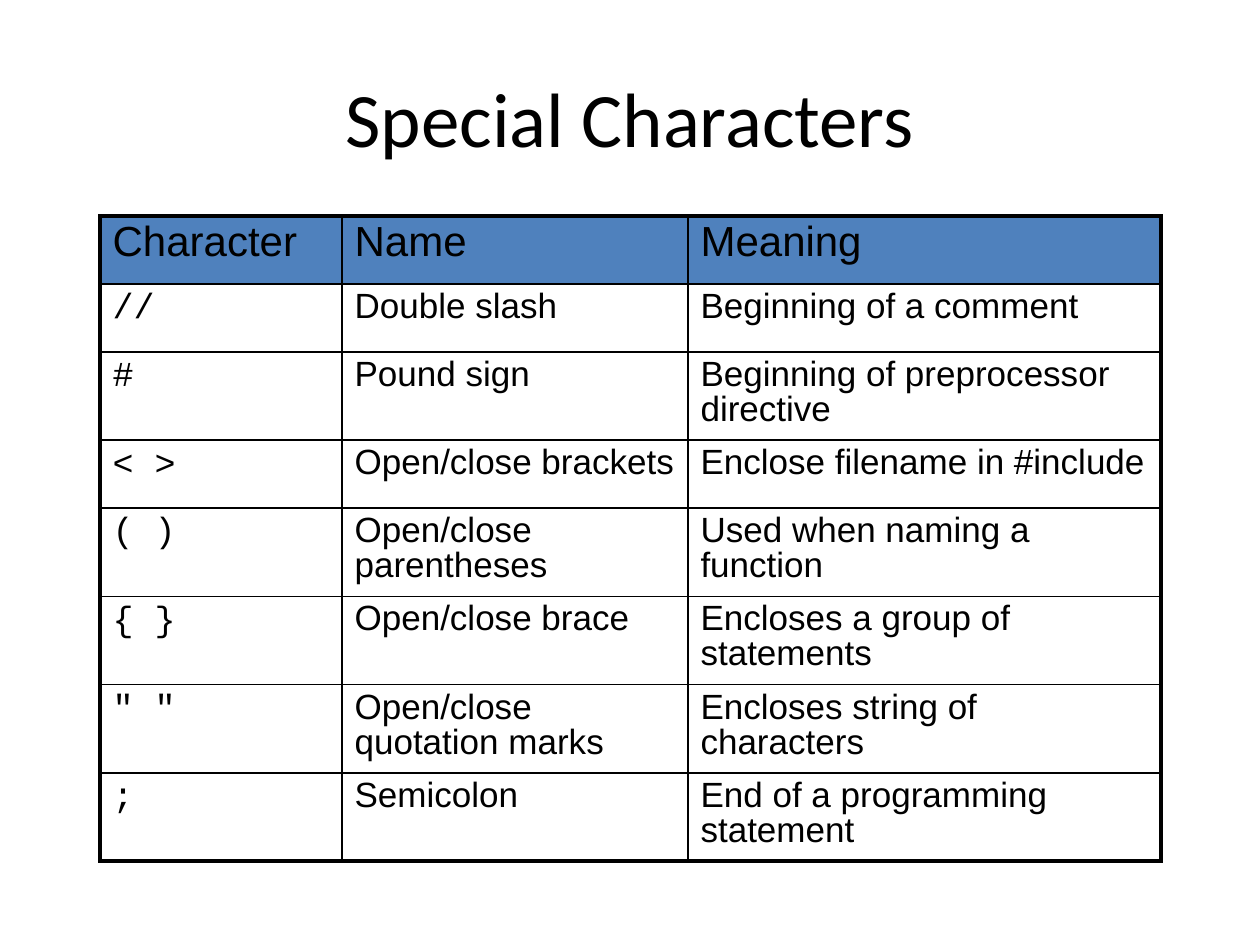
from pptx import Presentation
from pptx.dml.color import RGBColor
from pptx.enum.text import MSO_ANCHOR, PP_ALIGN
from pptx.oxml.ns import qn
from pptx.util import Pt
from lxml.etree import SubElement

PIXEL = 914400 // 126
COLORS = {"ink": "000000", "header": "4F81BD"}
COLUMN_WIDTHS = [242, 346, 473]
SHORT_ROW, TALL_ROW = 68, 88
TALL_ROWS = {2, 4, 5, 6, 7}
THIN, THICK = 1, 2.25
ROWS = [
    ("Character", "Name", "Meaning"),
    ("//", "Double slash", "Beginning of a comment"),
    ("#", "Pound sign", "Beginning of preprocessor directive"),
    ("< >", "Open/close brackets", "Enclose filename in #include"),
    ("( )", "Open/close parentheses", "Used when naming a function"),
    ("{ }", "Open/close brace", "Encloses a group of statements"),
    ('" "', "Open/close quotation marks", "Encloses string of characters"),
    (";", "Semicolon", "End of a programming statement"),
]


def px(length):
    return length * PIXEL


def color(name):
    return RGBColor.from_string(COLORS[name])


def format_text(para, font_name, size):
    for span in para.runs:
        span.font.name = font_name
        span.font.size = Pt(size)
        span.font.color.rgb = color("ink")


def add_title(page, text):
    box = page.shapes.add_textbox(px(63), px(38), px(1134), px(157))
    frame = box.text_frame
    frame.word_wrap = True
    frame.vertical_anchor = MSO_ANCHOR.MIDDLE
    frame.text = text
    para = frame.paragraphs[0]
    para.alignment = PP_ALIGN.CENTER
    format_text(para, "Calibri", 44)


def set_borders(cell, widths):
    properties = cell._tc.get_or_add_tcPr()
    for position, (side, width) in enumerate(widths.items()):
        line = properties.makeelement(qn(f"a:ln{side}"), {"w": str(int(Pt(width)))})
        fill = SubElement(line, qn("a:solidFill"))
        SubElement(fill, qn("a:srgbClr"), val=COLORS["ink"])
        properties.insert(position, line)


def fill_cell(cell, text, row, column):
    is_header = row == 0
    cell.text = text
    para = cell.text_frame.paragraphs[0]
    para.line_spacing = 0.9
    is_code = column == 0 and not is_header
    format_text(para, "Courier New" if is_code else "Arial", 24 if is_header else 20)
    if is_header:
        cell.fill.solid()
        cell.fill.fore_color.rgb = color("header")
    else:
        cell.fill.background()
    set_borders(cell, {
        "L": THICK if column == 0 else THIN,
        "R": THICK if column == len(COLUMN_WIDTHS) - 1 else THIN,
        "T": THICK if is_header else THIN,
        "B": THICK if row == len(ROWS) - 1 else THIN,
    })


def add_character_table(page):
    heights = [TALL_ROW if row in TALL_ROWS else SHORT_ROW for row in range(len(ROWS))]
    table = page.shapes.add_table(
        len(ROWS), len(COLUMN_WIDTHS), px(100), px(216),
        px(sum(COLUMN_WIDTHS)), px(sum(heights)),
    ).table
    table.horz_banding = False
    table.first_row = False
    for column, width in zip(table.columns, COLUMN_WIDTHS):
        column.width = px(width)
    for row, (texts, height) in enumerate(zip(ROWS, heights)):
        table.rows[row].height = px(height)
        for column, text in enumerate(texts):
            fill_cell(table.cell(row, column), text, row, column)


def main():
    deck = Presentation()
    deck.slide_width, deck.slide_height = px(1260), px(945)
    page = deck.slides.add_slide(deck.slide_layouts[6])
    add_title(page, "Special Characters")
    add_character_table(page)
    deck.save("out.pptx")


main()
